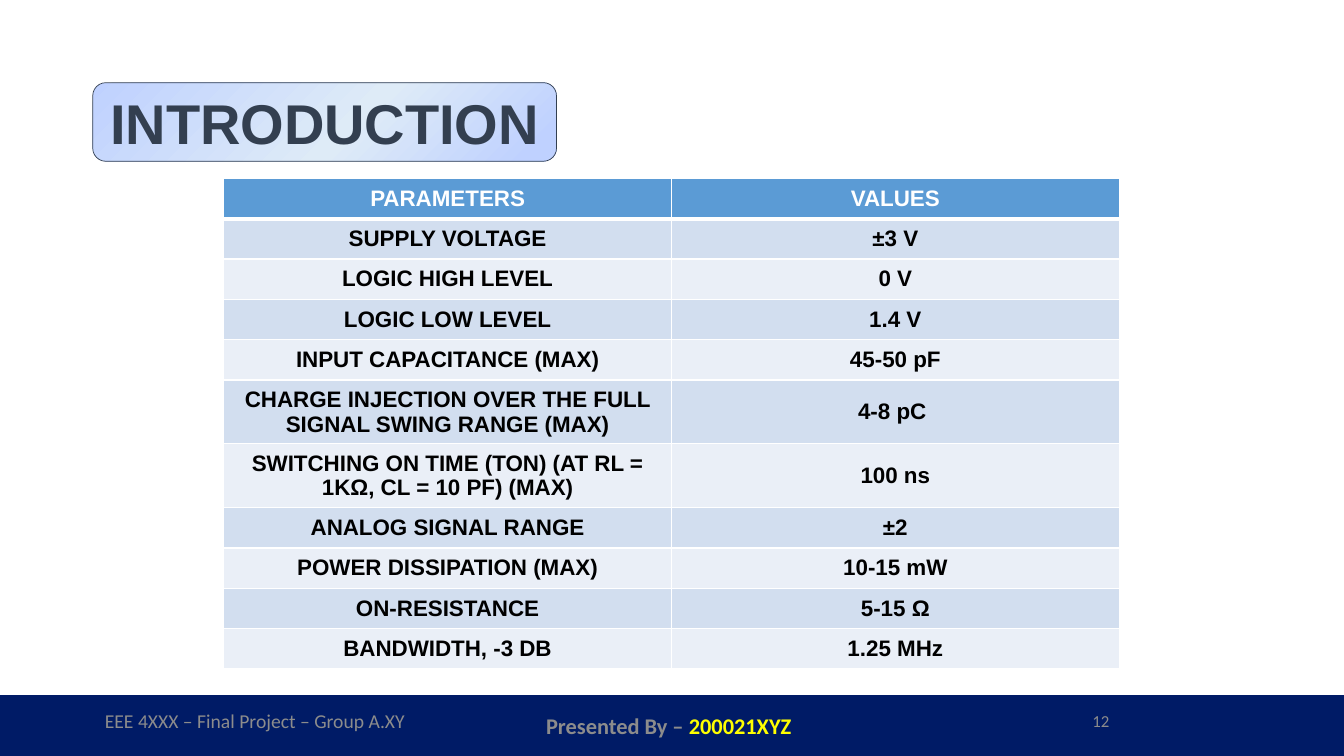
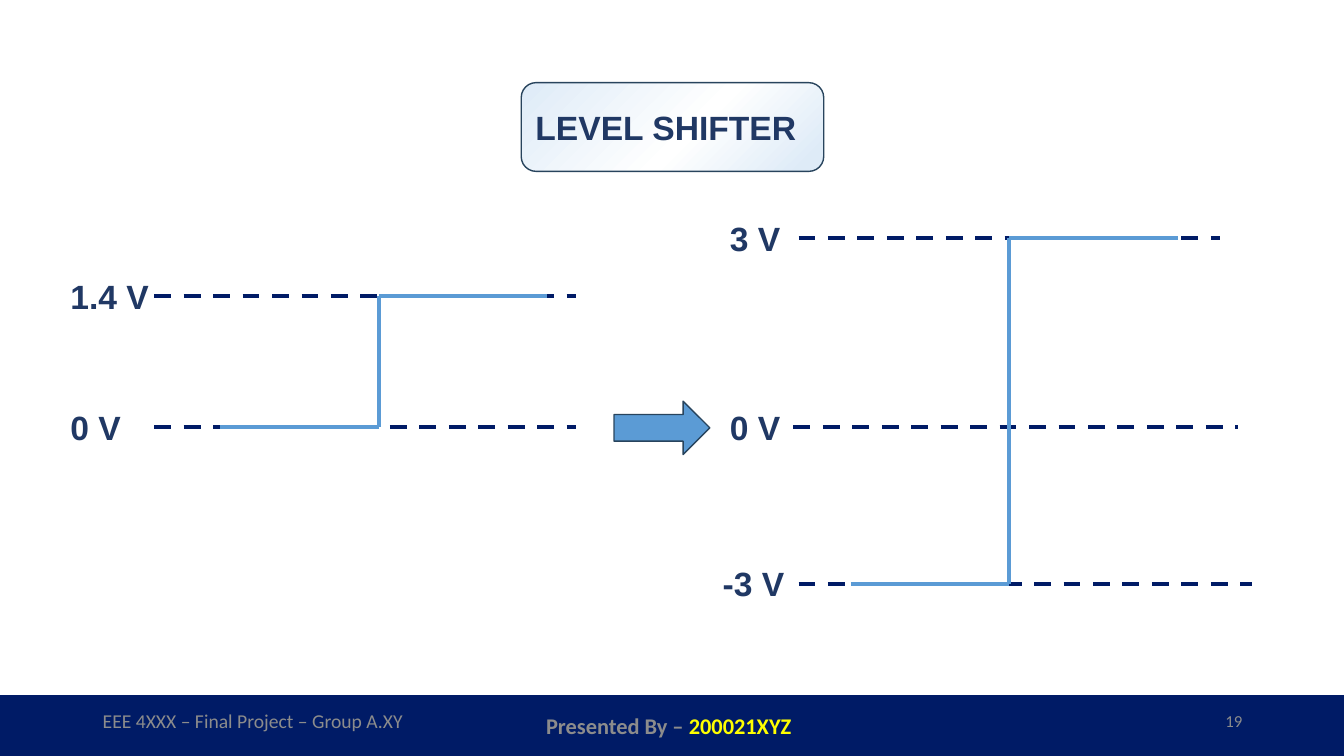
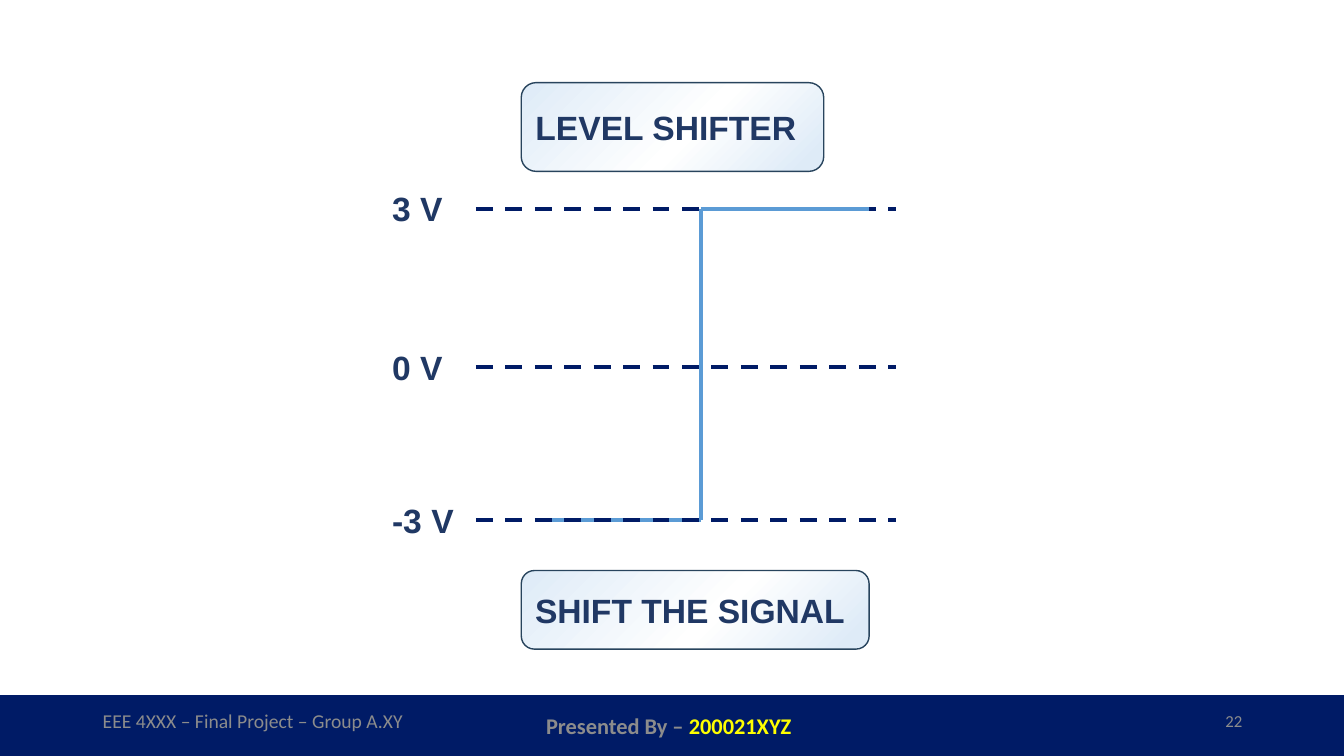
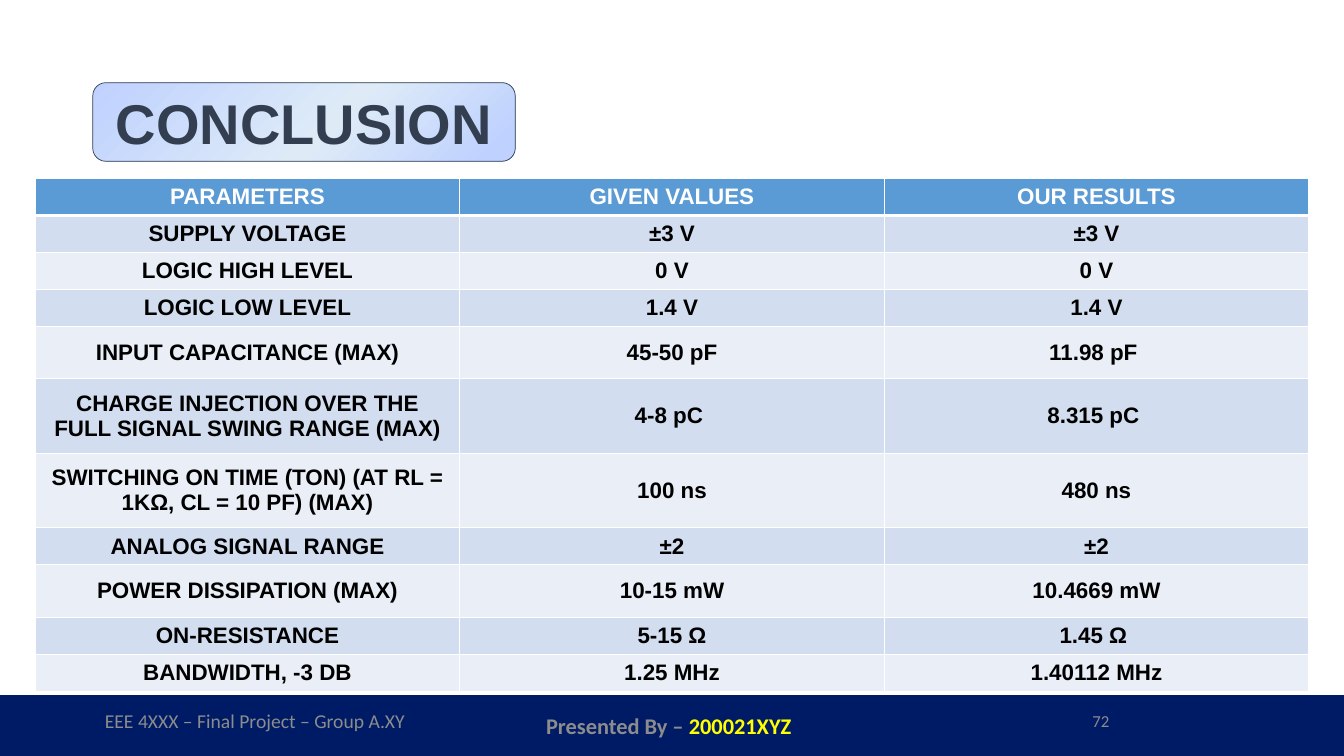
from copy import deepcopy

from pptx import Presentation
from pptx.dml.color import RGBColor
from pptx.enum.dml import MSO_LINE
from pptx.enum.shapes import MSO_CONNECTOR, MSO_SHAPE
from pptx.enum.text import MSO_ANCHOR, MSO_AUTO_SIZE, PP_ALIGN
from pptx.oxml import parse_xml
from pptx.oxml.ns import nsdecls, qn
from pptx.util import Inches, Pt

# Colours
NAVY = RGBColor(0x00, 0x1B, 0x66)
BLUE = RGBColor(0x5B, 0x9B, 0xD5)
OUTLINE = RGBColor(0x28, 0x44, 0x5D)
LABEL = RGBColor(0x20, 0x38, 0x64)
SLATE = RGBColor(0x33, 0x3F, 0x50)
GREY = RGBColor(0x8C, 0x8C, 0x8C)
YELLOW = RGBColor(0xFF, 0xFF, 0x00)
LAVENDER = RGBColor(0xBF, 0xD1, 0xFF)
PALE_BLUE = RGBColor(0xDE, 0xEB, 0xF7)
BAND_DARK = RGBColor(0xD2, 0xDE, 0xEF)
BAND_LIGHT = RGBColor(0xEA, 0xEF, 0xF7)
WHITE = RGBColor(0xFF, 0xFF, 0xFF)
BLACK = RGBColor(0x00, 0x00, 0x00)

# Specification rows: parameter, required value, achieved value
SPECIFICATIONS = [
    ("SUPPLY VOLTAGE", "±3 V", "±3 V"),
    ("LOGIC HIGH LEVEL", "0 V", "0 V"),
    ("LOGIC LOW LEVEL", "1.4 V", "1.4 V"),
    ("INPUT CAPACITANCE (MAX)", "45-50 pF", "11.98 pF "),
    ("CHARGE INJECTION OVER THE FULL SIGNAL SWING RANGE (MAX)", "4-8 pC ", "8.315 pC "),
    ("SWITCHING ON TIME (TON) (AT RL = 1KΩ, CL = 10 PF) (MAX)", "100 ns", "480 ns"),
    ("ANALOG SIGNAL RANGE", "±2", "±2"),
    ("POWER DISSIPATION (MAX)", "10-15 mW", "10.4669 mW"),
    ("ON-RESISTANCE", "5-15 Ω", "1.45 Ω "),
    ("BANDWIDTH, -3 DB", "1.25 MHz", "1.40112 MHz"),
]


def place(*lengths):
    return [Inches(length) for length in lengths]


def write(frame, spans, align, font="Arial", bold=True):
    """Fill one paragraph with (text, size, colour) spans."""
    para = frame.paragraphs[0]
    para.alignment = align
    for text, size, colour in spans:
        span = para.add_run()
        span.text = text
        span.font.name = font
        span.font.size = Pt(size)
        span.font.bold = bold
        span.font.color.rgb = colour


def add_text(page, at, spans, align=PP_ALIGN.LEFT, font="Arial", bold=True):
    frame = page.shapes.add_textbox(*place(*at)).text_frame
    frame.word_wrap = True
    write(frame, spans, align, font, bold)
    return frame


def add_block(page, kind, at, fill, outline, width=1):
    """Add a preset shape; fill None leaves it for the caller."""
    shape = page.shapes.add_shape(kind, *place(*at))
    shape.shadow.inherit = False
    if fill is not None:
        shape.fill.solid()
        shape.fill.fore_color.rgb = fill
    shape.line.color.rgb = outline
    shape.line.width = Pt(width)
    return shape


def add_badge(page, at, text, size, colour, edge, centre, outline, width, align):
    """Add a rounded title with a diagonal three-stop gradient."""
    badge = add_block(page, MSO_SHAPE.ROUNDED_RECTANGLE, at, None, outline, width)
    badge.fill.gradient()
    badge.fill.gradient_angle = 315
    stop_list = badge.element.spPr.find(".//" + qn("a:gsLst"))
    stop_list.append(deepcopy(stop_list[0]))
    stops = [(0, edge), (0.56, centre), (0.94, edge)]
    for stop, (position, stop_colour) in zip(badge.fill.gradient_stops, stops):
        stop.position = position
        stop.color.rgb = stop_colour
    badge.text_frame.vertical_anchor = MSO_ANCHOR.MIDDLE
    write(badge.text_frame, [(text, size, colour)], align)


def add_section_title(page, text, width):
    add_badge(page, (0.92, 0.82, width, 0.78), text, 40, SLATE,
              LAVENDER, PALE_BLUE, SLATE, 0.5, PP_ALIGN.CENTER)


def add_caption(page, text, top, width, height):
    add_badge(page, (5.17, top, width, height), text, 24, LABEL,
              PALE_BLUE, WHITE, OUTLINE, 1, PP_ALIGN.LEFT)


def add_line(page, start, end, colour, dashed=False):
    line = page.shapes.add_connector(MSO_CONNECTOR.STRAIGHT, *place(*start, *end))
    line.line.color.rgb = colour
    line.line.width = Pt(3)
    if dashed:
        line.line.dash_style = MSO_LINE.DASH
    line.element.spPr.append(parse_xml(f"<a:effectLst {nsdecls('a')}/>"))


def add_level(page, text, label_left, label_width, height, left, right):
    """Add a voltage label and its dashed reference line."""
    frame = add_text(page, (label_left, height - 0.25, label_width, 0.5),
                     [(text, 24, LABEL)])
    frame.auto_size = MSO_AUTO_SIZE.SHAPE_TO_FIT_TEXT
    add_line(page, (left, height), (right, height), NAVY, dashed=True)


def add_step(page, left, edge, right, low, high):
    """Add a rising signal made of three segments."""
    points = [(left, low), (edge, low), (edge, high), (right, high)]
    for start, end in zip(points, points[1:]):
        add_line(page, start, end, BLUE)


def set_borders(cell, top, bottom):
    properties = cell._tc.get_or_add_tcPr()
    for side, width in (("L", 1), ("R", 1), ("T", top), ("B", bottom)):
        properties.append(parse_xml(
            f'<a:ln{side} {nsdecls("a")} w="{Pt(width)}"><a:solidFill>'
            f'<a:srgbClr val="{WHITE}"/></a:solidFill></a:ln{side}>'))


def add_specification_table(page, left, column_width, row_heights, rows):
    columns = len(rows[0])
    table = page.shapes.add_table(
        len(rows), columns,
        *place(left, 1.77, columns * column_width, sum(row_heights))).table
    for column in table.columns:
        column.width = Inches(column_width)
    for index, (row, height, texts) in enumerate(zip(table.rows, row_heights, rows)):
        row.height = Inches(height)
        header = index == 0
        band = BAND_DARK if index % 2 else BAND_LIGHT
        for cell, text in zip(row.cells, texts):
            set_borders(cell, 3 if index == 1 else 1, 3 if header else 1)
            cell.fill.solid()
            cell.fill.fore_color.rgb = BLUE if header else band
            cell.vertical_anchor = MSO_ANCHOR.MIDDLE
            write(cell.text_frame, [(text, 16, WHITE if header else BLACK)],
                  PP_ALIGN.CENTER)


def add_page(deck, number, course_align, number_align):
    """Add a blank page with the navy band and the footer texts."""
    page = deck.slides.add_slide(deck.slide_layouts[6])
    add_block(page, MSO_SHAPE.RECTANGLE, (0, 6.9, 13.34, 0.6), NAVY, NAVY)
    footers = [
        (0.92, 3.22, [("EEE 4XXX – Final Project – Group A.XY", 14, GREY)],
         course_align, False),
        (4.42, 4.5, [("Presented By – ", 16, GREY), ("200021XYZ", 16, YELLOW),
                     (" ", 24, YELLOW)], PP_ALIGN.CENTER, True),
        (9.42, 3, [(str(number), 12, GREY)], number_align, False),
    ]
    for left, width, spans, align, bold in footers:
        frame = add_text(page, (left, 6.95, width, 0.4), spans, align, "Calibri", bold)
        frame.vertical_anchor = MSO_ANCHOR.MIDDLE
    return page


def add_table_page(deck, number):
    return add_page(deck, number, PP_ALIGN.CENTER, PP_ALIGN.CENTER)


def add_diagram_page(deck, number):
    page = add_page(deck, number, PP_ALIGN.LEFT, PP_ALIGN.RIGHT)
    add_caption(page, "LEVEL SHIFTER", 0.82, 3, 0.88)
    return page


def build_introduction(deck):
    page = add_table_page(deck, 12)
    add_section_title(page, "INTRODUCTION", 4.6)
    rows = [("PARAMETERS", "VALUES")] + [row[:2] for row in SPECIFICATIONS]
    heights = [0.4] * 5 + [0.6] * 2 + [0.4] * 4
    add_specification_table(page, 2.22, 4.44, heights, rows)


def build_level_shift(deck):
    page = add_diagram_page(deck, 19)
    # Input signal
    add_level(page, "1.4 V", 0.6, 1.02, 2.94, 1.53, 5.71)
    add_level(page, "0 V", 0.6, 0.73, 4.24, 1.53, 5.71)
    add_step(page, 2.18, 3.76, 5.43, 4.24, 2.94)
    # Output signal
    add_level(page, "3 V", 7.14, 0.73, 2.36, 7.92, 12.1)
    add_level(page, "0 V", 7.14, 0.73, 4.24, 7.87, 12.28)
    add_level(page, "-3 V", 7.07, 0.87, 5.79, 7.92, 12.42)
    add_step(page, 8.44, 10.01, 11.68, 5.79, 2.36)
    add_block(page, MSO_SHAPE.RIGHT_ARROW, (6.09, 3.98, 0.95, 0.53), BLUE, OUTLINE)


def build_shifted_signal(deck):
    page = add_diagram_page(deck, 22)
    add_level(page, "3 V", 3.79, 1.02, 2.07, 4.72, 8.89)
    add_level(page, "0 V", 3.79, 1.02, 3.64, 4.72, 8.89)
    add_step(page, 5.37, 6.95, 8.62, 5.16, 2.07)
    # The lowest level lies over the signal
    add_level(page, "-3 V", 3.79, 1.02, 5.16, 4.72, 8.89)
    add_caption(page, "SHIFT THE SIGNAL", 5.66, 3.45, 0.78)


def build_conclusion(deck):
    page = add_table_page(deck, 72)
    add_section_title(page, "CONCLUSION", 4.19)
    rows = [("PARAMETERS", "GIVEN VALUES", "OUR RESULTS")] + SPECIFICATIONS
    heights = [0.35] * 4 + [0.52, 0.74, 0.74, 0.35, 0.52] + [0.35] * 2
    add_specification_table(page, 0.35, 4.21, heights, rows)


def main():
    deck = Presentation()
    deck.slide_width, deck.slide_height = place(13.33, 7.5)
    build_introduction(deck)
    build_level_shift(deck)
    build_shifted_signal(deck)
    build_conclusion(deck)
    deck.save("out.pptx")


if __name__ == "__main__":
    main()
